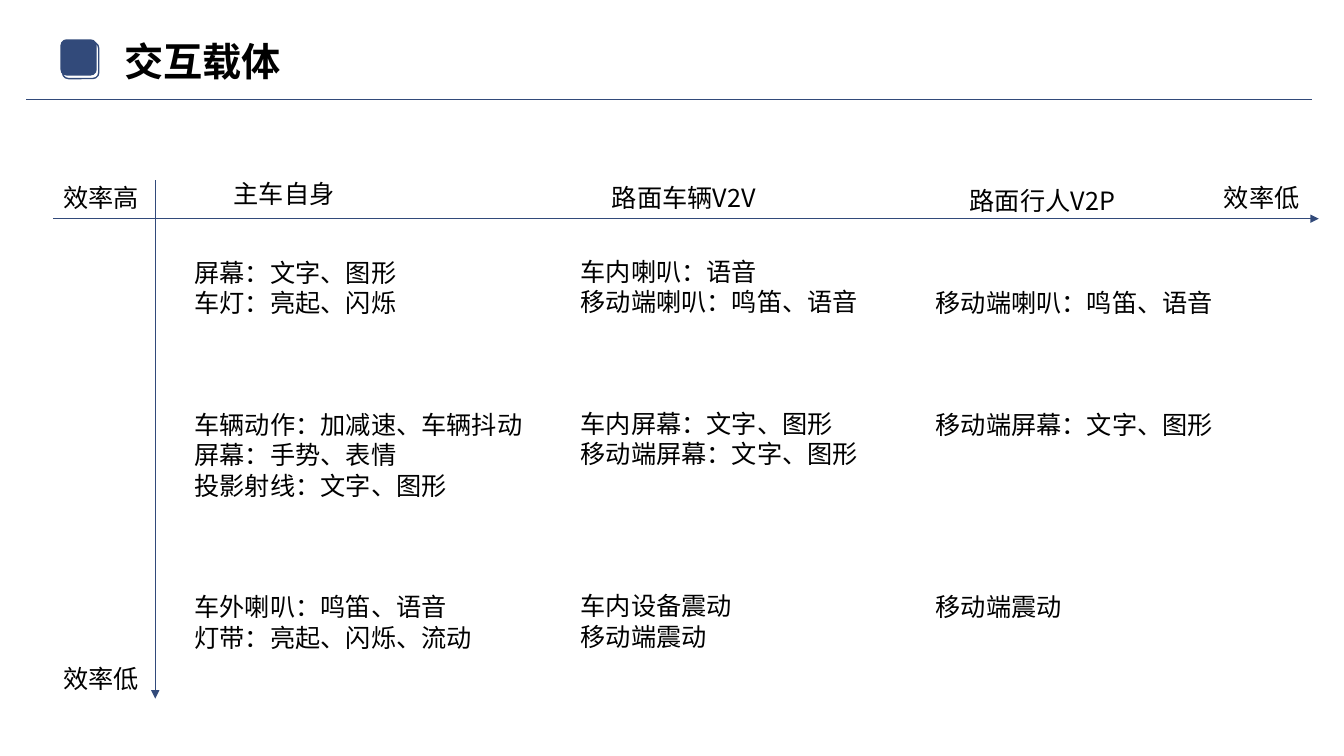
import pptx
import pptx.dml.color
import pptx.enum.shapes
import pptx.enum.text
import pptx.oxml
import pptx.oxml.ns
import pptx.util

EMU_PER_PX = 9144
FONT = "Noto Sans CJK SC"
COLORS = {"navy": "324A7A", "text": "000000"}
BODY_SIZE = 18
LINE_PITCH = 21.7

# Each entry: left, top, width, text
LABELS = [
    (53, 176, 103, "效率高"),
    (1204, 176, 187, "效率低"),
    (53, 653, 187, "效率低"),
    (222, 172, 141, "主车自身"),
    (597, 176, 206, "路面车辆V2V"),
    (952, 179, 196, "路面行人V2P"),
]

# Each entry: left, top, width, height, groups of (empty lines above, lines)
COLUMNS = [
    (183, 250, 349, 404, [
        (0, ["屏幕：文字、图形", "车灯：亮起、闪烁"]),
        (3, ["车辆动作：加减速、车辆抖动", "屏幕：手势、表情", "投影射线：文字、图形"]),
        (3, ["车外喇叭：鸣笛、语音", "灯带：亮起、闪烁、流动"]),
    ]),
    (566, 249, 315, 404, [
        (0, ["车内喇叭：语音", "移动端喇叭：鸣笛、语音"]),
        (3, ["车内屏幕：文字、图形", "移动端屏幕：文字、图形"]),
        (4, ["车内设备震动", "移动端震动"]),
    ]),
    (918, 280, 335, 343, [
        (0, ["移动端喇叭：鸣笛、语音"]),
        (3, ["移动端屏幕：文字、图形"]),
        (5, ["移动端震动"]),
    ]),
]


def px(length):
    return pptx.util.Emu(length * EMU_PER_PX)


def color(name):
    return pptx.dml.color.RGBColor.from_string(COLORS[name])


def place(shape, left, top, width, height):
    shape.left, shape.top = px(left), px(top)
    shape.width, shape.height = px(width), px(height)


def add_xml(parent, tag, **attributes):
    element = parent.makeelement(pptx.oxml.ns.qn(tag), attributes)
    parent.append(element)
    return element


def prepare_frame(frame, wrap=True):
    frame.word_wrap = wrap
    frame.auto_size = pptx.enum.text.MSO_AUTO_SIZE.NONE
    frame.vertical_anchor = pptx.enum.text.MSO_ANCHOR.TOP


def format_paragraph(paragraph, size=BODY_SIZE, pitch=LINE_PITCH, bold=False, lines_above=0):
    paragraph.alignment = pptx.enum.text.PP_ALIGN.LEFT
    paragraph.line_spacing = pptx.util.Pt(pitch)
    paragraph.space_before = pptx.util.Pt(lines_above * pitch)
    paragraph.space_after = pptx.util.Pt(0)
    paragraph.font.size = pptx.util.Pt(size)
    paragraph.font.bold = bold
    paragraph.font.color.rgb = color("text")
    paragraph.font.name = FONT
    properties = paragraph._p.pPr
    properties.set("marL", "0")
    properties.set("indent", "0")
    defaults = properties.find(pptx.oxml.ns.qn("a:defRPr"))
    add_xml(defaults, "a:ea", typeface=FONT)
    defaults.addprevious(add_xml(properties, "a:buNone"))


def fill_title(title, text):
    place(title, 113, 37, 579, 51)
    prepare_frame(title.text_frame)
    title.text_frame.text = text
    format_paragraph(title.text_frame.paragraphs[0], size=28, pitch=30, bold=True)


def fill_column(placeholder, left, top, width, height, groups):
    place(placeholder, left, top, width, height)
    frame = placeholder.text_frame
    prepare_frame(frame)
    lines = [(text, gap if index == 0 else 0)
             for gap, texts in groups for index, text in enumerate(texts)]
    frame.text = "\n".join(text for text, _ in lines)
    for paragraph, (_, gap) in zip(frame.paragraphs, lines):
        format_paragraph(paragraph, lines_above=gap)


def add_label(slide, left, top, width, text):
    box = slide.shapes.add_textbox(px(left), px(top), px(width), px(40))
    prepare_frame(box.text_frame)
    box.text_frame.text = text
    format_paragraph(box.text_frame.paragraphs[0])


def add_line(slide, start, end, arrow=False):
    line = slide.shapes.add_connector(
        pptx.enum.shapes.MSO_CONNECTOR.STRAIGHT, *map(px, start + end))
    line.line.color.rgb = color("navy")
    line.line.width = pptx.util.Pt(0.5)
    if arrow:
        add_xml(line.line._get_or_add_ln(), "a:tailEnd", type="triangle")
    add_xml(line._element.spPr, "a:effectLst")


def add_rounded_square(slide, left, top, filled):
    square = slide.shapes.add_shape(
        pptx.enum.shapes.MSO_SHAPE.ROUNDED_RECTANGLE, px(left), px(top), px(36), px(36))
    square.shadow.inherit = False
    if filled:
        square.fill.solid()
        square.fill.fore_color.rgb = color("navy")
        square.line.fill.background()
    else:
        square.fill.background()
        square.line.color.rgb = color("navy")
        square.line.width = pptx.util.Pt(1)


def main():
    presentation = pptx.Presentation()
    presentation.slide_width, presentation.slide_height = px(1333), px(750)
    comparison_layout = presentation.slide_layouts[4]
    slide = presentation.slides.add_slide(comparison_layout)

    fill_title(slide.shapes.title, "交互载体")
    *bodies, spare = list(slide.placeholders)[1:]
    for body, column in zip(bodies, COLUMNS):
        fill_column(body, *column)
    spare._element.getparent().remove(spare._element)

    add_rounded_square(slide, 60, 39, filled=True)
    add_rounded_square(slide, 62, 42, filled=False)
    add_line(slide, (26, 99), (1301, 99))
    add_line(slide, (53, 217), (1308, 217), arrow=True)
    add_line(slide, (154, 179), (154, 693), arrow=True)
    for label in LABELS:
        add_label(slide, *label)

    presentation.save("out.pptx")


if __name__ == "__main__":
    main()
